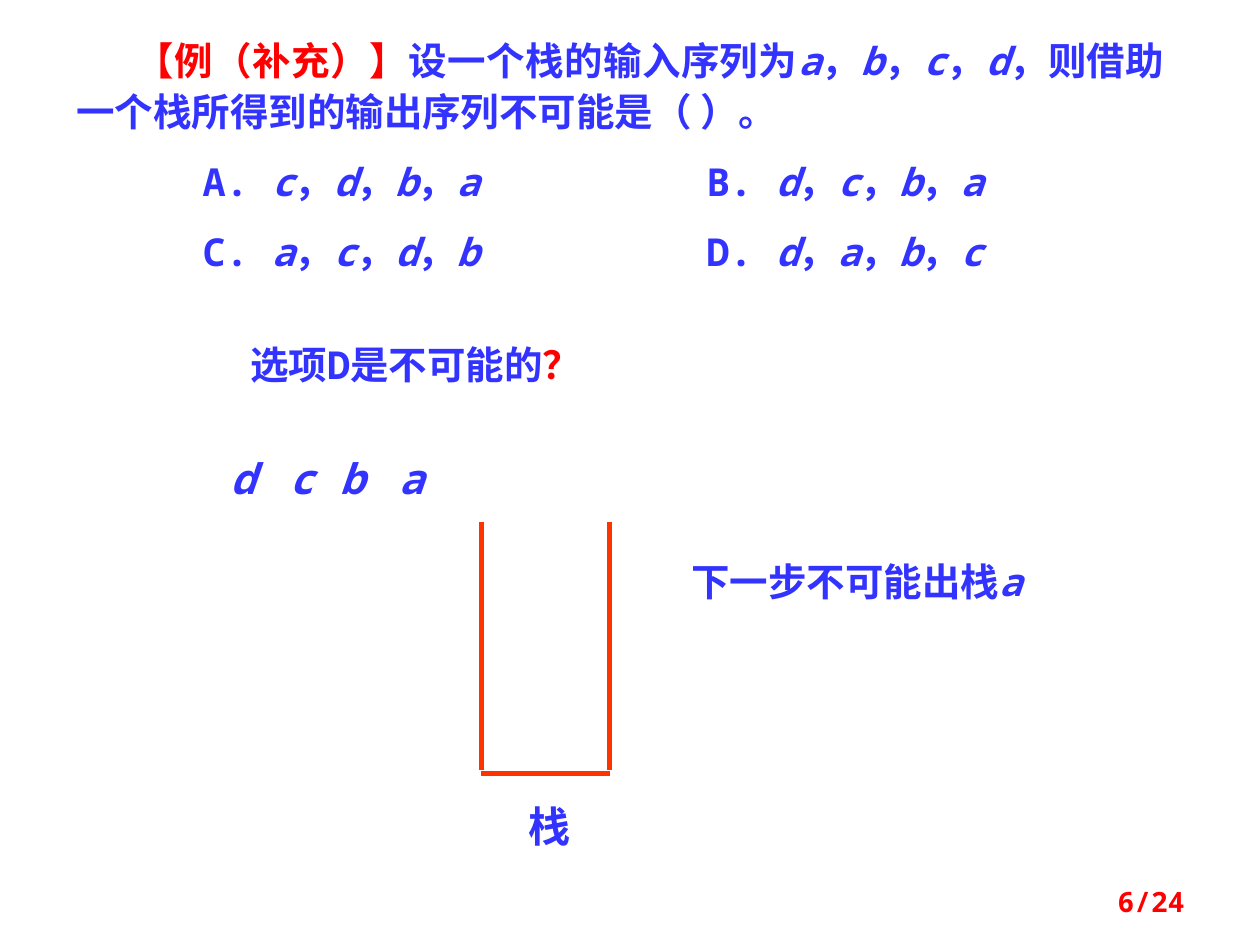
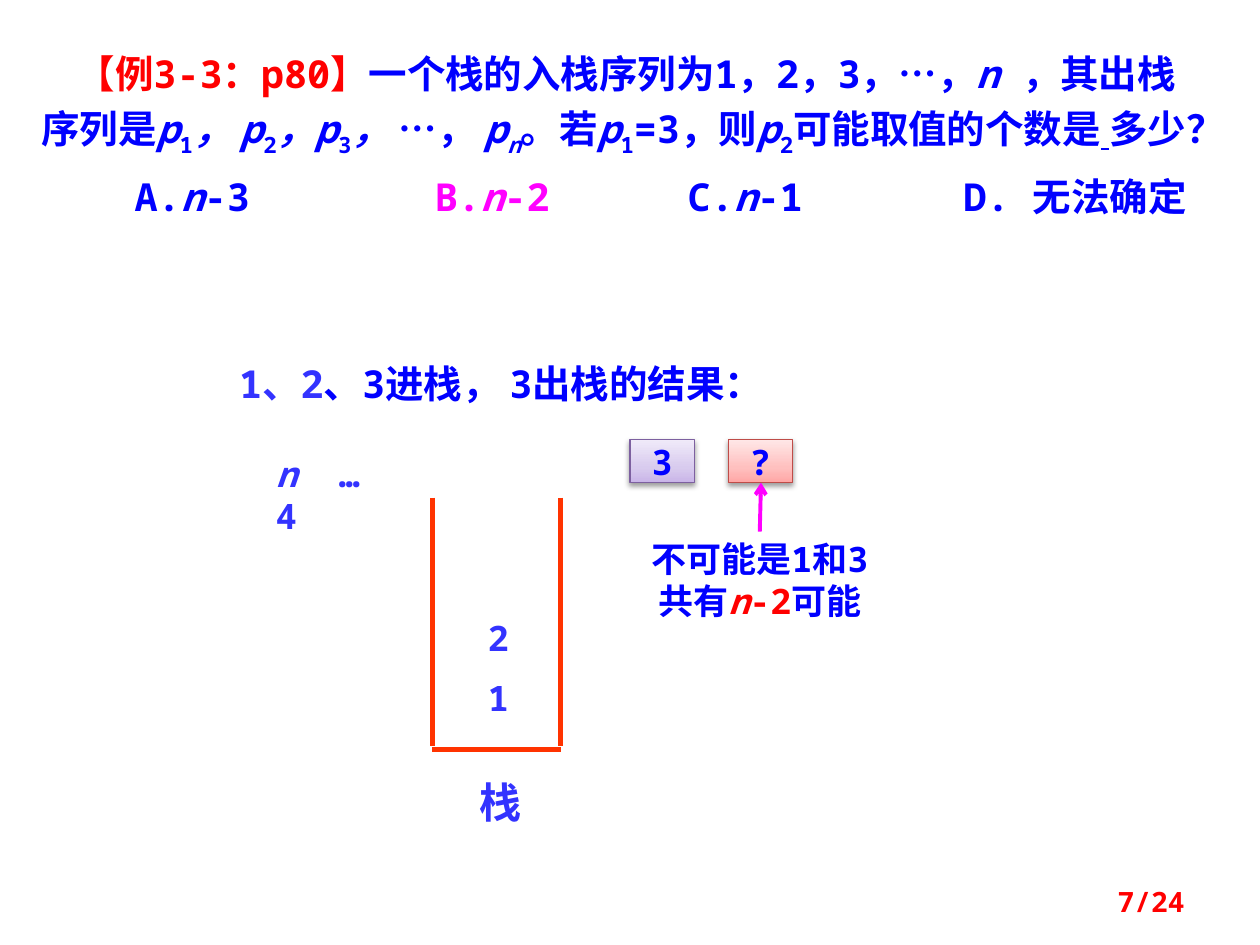
from dataclasses import dataclass
from itertools import groupby

from lxml.etree import SubElement
from pptx import Presentation
from pptx.dml.color import RGBColor
from pptx.enum.shapes import MSO_CONNECTOR as Conn, MSO_SHAPE as Preset
from pptx.enum.text import MSO_ANCHOR as Anchor, PP_ALIGN as Align
from pptx.oxml.ns import qn
from pptx.util import Inches, Pt

FONT = "Noto Sans Mono"
PAGES = 24
COLOURS = {
    "blue": "3333FF",
    "deep": "0000FF",
    "red": "FF0000",
    "pink": "FF00FF",
    "wall": "FF3300",
    "plum": "7D60A0",
    "rust": "BF4C48",
}
FADES = {
    "plum": {0: "C9B5E8", 35: "D8CBEE", 100: "F0EAF9"},
    "rust": {0: "FFA6A5", 35: "FFC0BF", 100: "FFE7E7"},
}
MARKS = "*~_"  # each toggles: italic, subscript, underline


@dataclass
class Line:
    """A paragraph: bits are plain text or (colour, text)."""
    bits: list
    indent: float = 0
    tabs: tuple = ()


@dataclass
class Note:
    left: float
    top: float
    width: float
    height: float
    lines: list
    size: int = 22
    colour: str = "blue"
    align: Align = Align.LEFT
    tight: bool = False
    anchor: Anchor = Anchor.TOP
    pitch: object = None
    gap: float = 0


@dataclass
class Card:
    left: float
    text: str
    tone: str


def rgb(name: str) -> RGBColor:
    return RGBColor.from_string(COLOURS[name])


def add_runs(par, text: str, colour: str | None) -> None:
    on = set()
    for is_mark, chars in groupby(text, lambda char: char in MARKS):
        if is_mark:
            for mark in chars:
                on ^= {mark}
            continue
        run = par.add_run()
        run.text = "".join(chars)
        if colour:
            run.font.color.rgb = rgb(colour)
        if "*" in on:
            run.font.italic = True
        if "_" in on:
            run.font.underline = True
        if "~" in on:
            run.font._element.set("baseline", "-25000")


def fill_frame(frame, note: Note) -> None:
    frame.word_wrap = True
    frame.vertical_anchor = note.anchor
    if note.tight:
        frame.margin_left = frame.margin_right = 0
        frame.margin_top = frame.margin_bottom = 0
    for index, line in enumerate(note.lines):
        if isinstance(line, str):
            line = Line([line])
        par = frame.add_paragraph() if index else frame.paragraphs[0]
        props = par._p.get_or_add_pPr()
        if line.indent:
            props.set("indent", str(Inches(line.indent)))
        if line.tabs:
            stops = SubElement(props, qn("a:tabLst"))
            for stop in line.tabs:
                SubElement(stops, qn("a:tab"), pos=str(Inches(stop)), algn="l")
        par.alignment = note.align
        if note.pitch:
            par.line_spacing = note.pitch
        if index and note.gap:
            par.space_before = Pt(note.gap)
        font = par.font
        font.name, font.size, font.bold = FONT, Pt(note.size), True
        font.color.rgb = rgb(note.colour)
        for bit in line.bits:
            colour, text = (None, bit) if isinstance(bit, str) else bit
            add_runs(par, text, colour)


def add_note(slide, note: Note) -> None:
    spot = map(Inches, (note.left, note.top, note.width, note.height))
    fill_frame(slide.shapes.add_textbox(*spot).text_frame, note)


def add_line(slide, start: tuple, end: tuple, colour: str, width: float,
             arrow: bool = False) -> None:
    line = slide.shapes.add_connector(
        Conn.STRAIGHT, *map(Inches, (*start, *end)))
    line.line.color.rgb = rgb(colour)
    line.line.width = Pt(width)
    props = line._element.spPr
    if arrow:
        SubElement(props.find(qn("a:ln")), qn("a:tailEnd"), type="arrow")
    SubElement(props, qn("a:effectLst"))


def add_stack(slide, left: float, top: float) -> None:
    """Draw an open-topped stack with its label."""
    right, foot, base = left + 1.02, top + 1.97, top + 2
    for x in (left, right):
        add_line(slide, (x, top), (x, foot), "wall", 3)
    add_line(slide, (left, base), (right, base), "wall", 3)
    add_note(slide, Note(left + 0.31, top + 2.21, 0.47, 0.4, ["栈"], 24,
                         align=Align.CENTER, tight=True))


def add_card(slide, card: Card) -> None:
    place = (card.left, 3.49, 0.51, 0.34)
    shape = slide.shapes.add_shape(Preset.RECTANGLE, *map(Inches, place))
    shape.line.color.rgb = rgb(card.tone)
    shape.line.width = Pt(0.75)
    shape.shadow.inherit = False
    props = shape._element.spPr
    fade = SubElement(props, qn("a:gradFill"), rotWithShape="1")
    props.find(qn("a:prstGeom")).addnext(fade)
    stops = SubElement(fade, qn("a:gsLst"))
    for pos, value in FADES[card.tone].items():
        stop = SubElement(stops, qn("a:gs"), pos=str(pos * 1000))
        SubElement(stop, qn("a:srgbClr"), val=value)
    SubElement(fade, qn("a:lin"), ang="16200000", scaled="1")
    shade = SubElement(
        props.find(qn("a:effectLst")), qn("a:outerShdw"),
        blurRad=str(Pt(3.1)), dist=str(Pt(1.6)), dir="5400000",
        rotWithShape="0")
    black = SubElement(shade, qn("a:srgbClr"), val="000000")
    SubElement(black, qn("a:alpha"), val="38000")
    fill_frame(shape.text_frame, Note(
        *place, [card.text], 20, "deep", Align.CENTER, True, Anchor.MIDDLE))


def new_slide(deck, page: int):
    slide = deck.slides.add_slide(deck.slide_layouts[6])
    add_note(slide, Note(7.17, 6.95, 2.33, 0.4, [f"{page}/{PAGES}"], 16,
                         "red", Align.RIGHT, anchor=Anchor.MIDDLE))
    return slide


def order_slide(deck) -> None:
    slide = new_slide(deck, 6)
    tabs = (1, 5)
    add_note(slide, Note(0.51, 0.21, 8.83, 2.1, [
        Line([("red", "【例（补充）】"),
              "设一个栈的输入序列为*a*，*b*，*c*，*d*，"
              "则借助一个栈所得到的输出序列不可能是（ ）。"], indent=0.47),
        Line(["\tA. *c*，*d*，*b*，*a*\tB. *d*，*c*，*b*，*a*"], tabs=tabs),
        Line(["\tC. *a*，*c*，*d*，*b*\tD. *d*，*a*，*b*，*c*"], tabs=tabs),
    ], align=Align.JUSTIFY, pitch=1.1, gap=11))
    add_stack(slide, 3.82, 4.14)
    for name, left in zip("dcba", (1.69, 2.16, 2.56, 3.03)):
        add_note(slide, Note(left, 3.59, 0.47, 0.4, [f"*{name}*"], 24,
                             align=Align.CENTER, tight=True))
    add_note(slide, Note(1.41, 2.66, 3.78, 0.47, [
        Line(["选项D是不可能的", ("red", "？")])], align=Align.CENTER))
    add_note(slide, Note(5.39, 4.38, 3.47, 0.47, ["下一步不可能出栈*a*"]))


def count_slide(deck) -> None:
    slide = new_slide(deck, 7)
    add_note(slide, Note(0.23, 0.23, 9.45, 2.06, [
        Line([("red", "【例3-3：p80】"),
              "一个栈的入栈序列为1，2，3，…，*n *，其出栈序列是"
              "*p*~1~*， p*~2~*，p*~3~*， *…， *p~n~*。"
              "若*p*~1~=3，则*p*~2~可能取值的个数是_ _多少？"], indent=0.28),
        Line(["\tA.*n*-3\t", ("pink", "B.*n*-2"),
              "\tC.*n*-1\tD. 无法确定"], tabs=(0.74, 3.12, 5.13, 7.32)),
    ], colour="deep", pitch=Pt(35)))
    add_stack(slide, 3.43, 3.95)
    for item, top in (("1", 5.37), ("2", 4.89)):
        add_note(slide, Note(3.7, top, 0.51, 0.34, [item], 20,
                             align=Align.CENTER, tight=True))
    for card in (Card(5, "3", "plum"), Card(5.78, "?", "rust")):
        add_card(slide, card)
    add_note(slide, Note(2.19, 3.59, 1.09, 0.67, [
        Line(["*n*\t…"], tabs=(0.5,)), "4"], 20, tight=True))
    add_note(slide, Note(4.82, 4.22, 2.42, 0.77, [
        "不可能是1和3", Line(["共有", ("red", "*n*-2"), "可能"])],
        20, "deep", Align.CENTER))
    add_line(slide, (6.03, 4.22), (6.04, 3.83), "pink", 2.25, arrow=True)
    add_note(slide, Note(1.8, 2.81, 4.38, 0.47, [
        Line([("blue", "1、2"), "、3进栈， 3出栈的结果："])], colour="deep"))


def main() -> None:
    deck = Presentation()
    deck.slide_width, deck.slide_height = Inches(10), Inches(7.5)
    order_slide(deck)
    count_slide(deck)
    deck.save("out.pptx")


if __name__ == "__main__":
    main()
